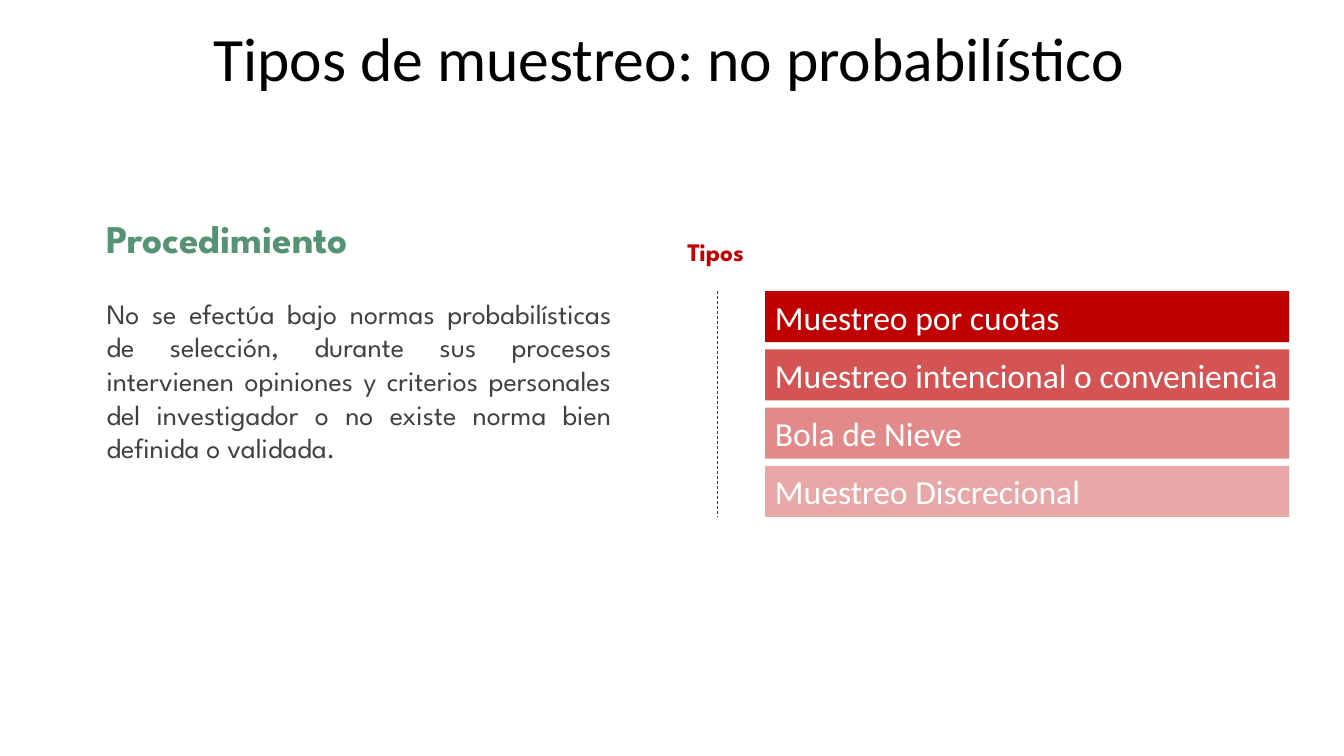
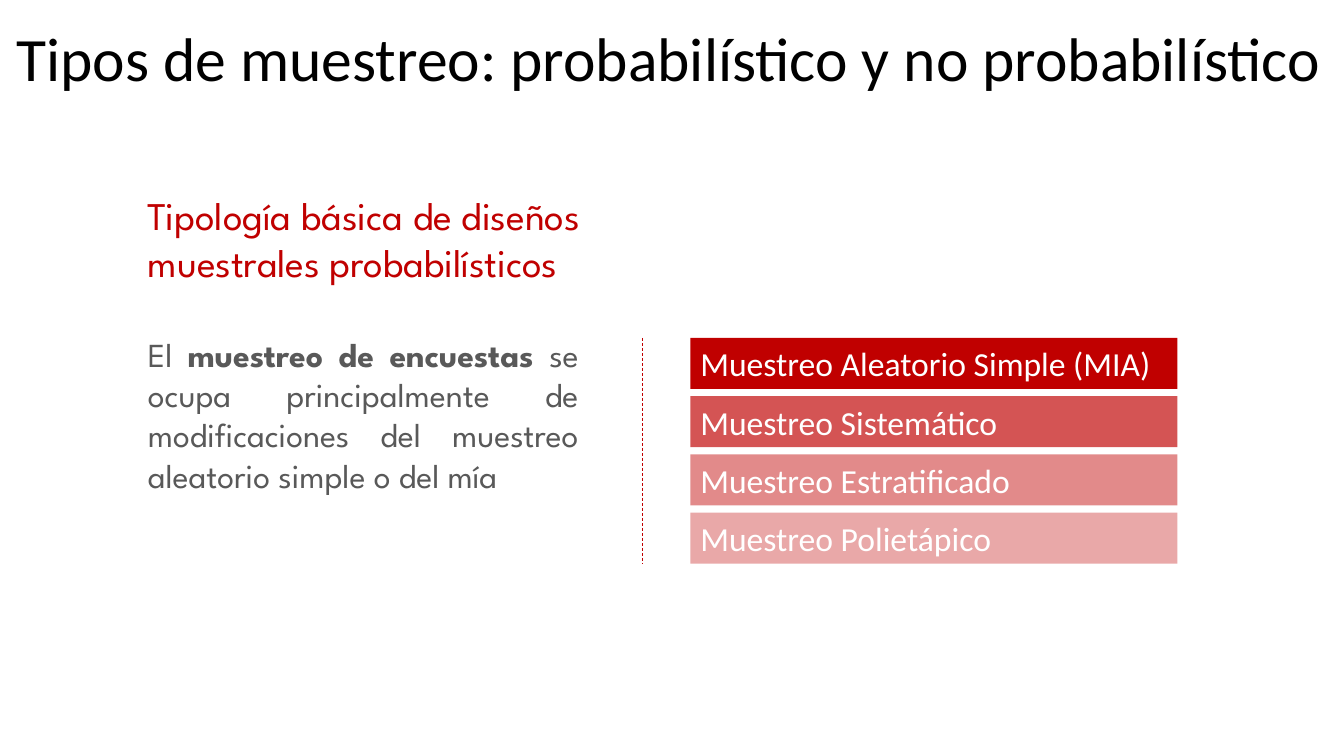
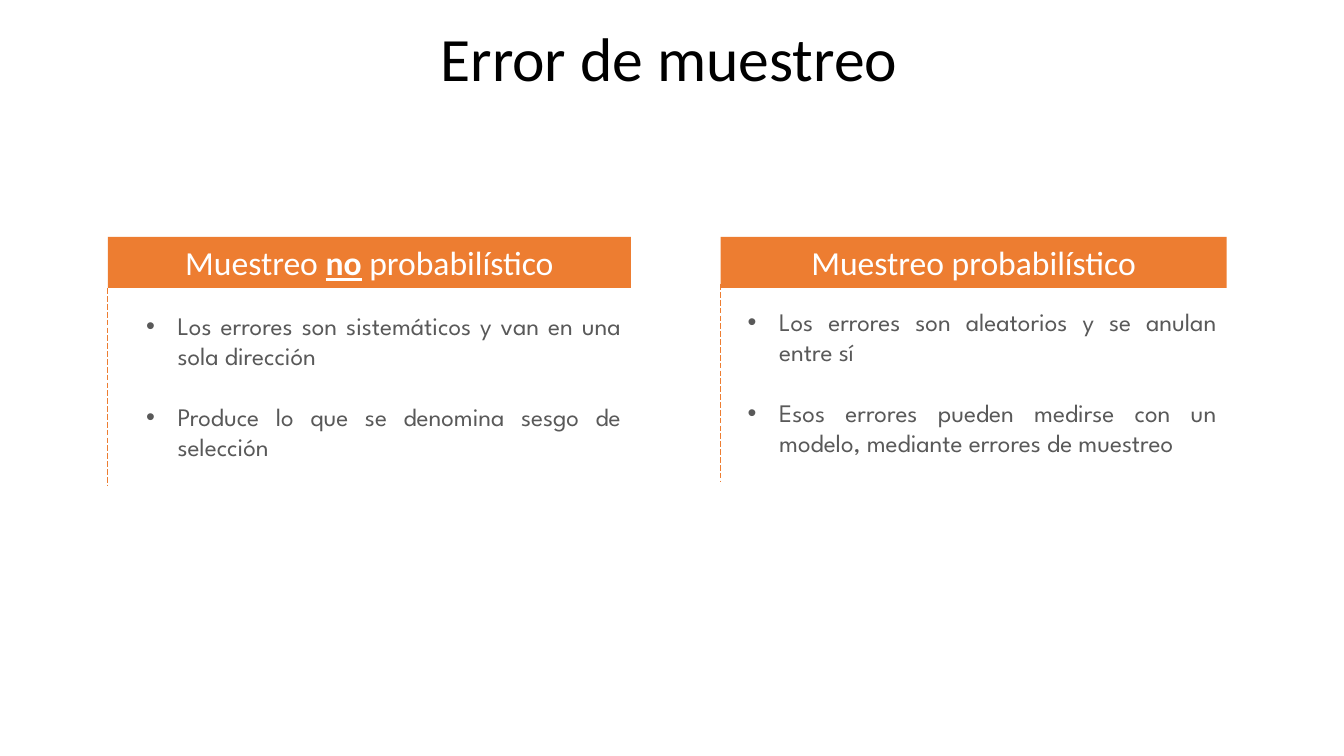
from dataclasses import dataclass

from pptx import Presentation
from pptx.dml.color import RGBColor
from pptx.enum.dml import MSO_LINE
from pptx.enum.shapes import MSO_CONNECTOR, MSO_SHAPE
from pptx.enum.text import MSO_ANCHOR, PP_ALIGN
from pptx.oxml.ns import qn
from pptx.oxml.xmlchemy import OxmlElement
from pptx.util import Pt

LEFT, CENTER, JUSTIFY = PP_ALIGN.LEFT, PP_ALIGN.CENTER, PP_ALIGN.JUSTIFY
TOP, MIDDLE = MSO_ANCHOR.TOP, MSO_ANCHOR.MIDDLE
DASH, LONG_DASH = MSO_LINE.DASH, MSO_LINE.LONG_DASH
RECTANGLE = MSO_SHAPE.RECTANGLE
STRAIGHT = MSO_CONNECTOR.STRAIGHT


@dataclass(frozen=True)
class Theme:
    red: str = "C00000"
    orange: str = "ED7D31"
    green: str = "559374"
    black: str = "000000"
    white: str = "FFFFFF"
    dark_gray: str = "404040"
    gray: str = "595959"
    main_font: str = "Calibri"
    accent_font: str = "League Spartan"
    title_size: int = 44
    heading_size: int = 28
    bar_size: int = 24
    body_size: int = 20
    small_size: int = 18
    line_width: float = 0.5


THEME = Theme()
BAR_HEIGHT = 36.4
BAR_PITCH = 41.6
BAR_OPACITIES = (100, 67, 46, 34)
RULE_GAP = 34
BULLET_INDENT = 22.5


def text_style(name, size, color, **extra):
    return {"name": name, "size": Pt(size), "color": color, **extra}


TITLE = text_style(THEME.main_font, THEME.title_size, THEME.black)
BAR = text_style(THEME.main_font, THEME.bar_size, THEME.white)
BULLET = text_style(THEME.accent_font, THEME.small_size, THEME.gray)


def format_font(font, style):
    for name, value in style.items():
        if name == "color":
            font.color.rgb = RGBColor.from_string(value)
        else:
            setattr(font, name, value)


def write_paragraph(paragraph, content, style, alignment):
    """Fill a paragraph from a string or a list of (text, extra format) runs."""
    paragraph.alignment = alignment
    runs = [(content, {})] if isinstance(content, str) else content
    for text, extra in runs:
        run = paragraph.add_run()
        run.text = text
        format_font(run.font, {**style, **extra})


def add_text(slide, box, content, style, alignment=LEFT, anchor=TOP):
    frame = slide.shapes.add_textbox(*map(Pt, box)).text_frame
    frame.word_wrap = True
    frame.vertical_anchor = anchor
    write_paragraph(frame.paragraphs[0], content, style, alignment)
    return frame


def add_title(slide, text):
    frame = add_text(slide, (4.3, 12.2, 947.5, 64.1), text, TITLE, CENTER, MIDDLE)
    frame.paragraphs[0].line_spacing = 0.9


def add_bar(slide, left, top, width, content, color, opacity=100, alignment=LEFT):
    shape = slide.shapes.add_shape(RECTANGLE, *map(Pt, (left, top, width, BAR_HEIGHT)))
    shape.shadow.inherit = False
    shape.line.fill.background()
    shape.fill.solid()
    shape.fill.fore_color.rgb = RGBColor.from_string(color)
    if opacity < 100:
        alpha = OxmlElement("a:alpha")
        alpha.set("val", str(opacity * 1000))
        shape.element.spPr.find(".//" + qn("a:srgbClr")).append(alpha)
    frame = shape.text_frame
    frame.word_wrap = True
    frame.vertical_anchor = MIDDLE
    write_paragraph(frame.paragraphs[0], content, BAR, alignment)


def add_vertical_rule(slide, left, top, height, color, dash):
    connector = slide.shapes.add_connector(
        STRAIGHT, *map(Pt, (left, top, left, top + height)))
    connector.element.spPr.append(OxmlElement("a:effectLst"))
    connector.line.width = Pt(THEME.line_width)
    connector.line.color.rgb = RGBColor.from_string(color)
    connector.line.dash_style = dash


def add_bar_list(slide, left, top, width, labels):
    """Stack fading red bars with a dashed rule to their left."""
    for index, (label, opacity) in enumerate(zip(labels, BAR_OPACITIES)):
        add_bar(slide, left, top + index * BAR_PITCH, width, label, THEME.red, opacity)
    height = (len(labels) - 1) * BAR_PITCH + BAR_HEIGHT
    add_vertical_rule(slide, left - RULE_GAP, top, height, THEME.red, DASH)


def add_bullet(paragraph):
    properties = paragraph._p.get_or_add_pPr()
    properties.set("marL", str(Pt(BULLET_INDENT)))
    properties.set("indent", str(-Pt(BULLET_INDENT)))
    for tag, name, value in (("a:buFont", "typeface", "Arial"),
                             ("a:buChar", "char", "•")):
        element = OxmlElement(tag)
        element.set(name, value)
        properties.append(element)


def add_bullets(slide, box, items):
    frame = add_text(slide, box, items[0], BULLET, JUSTIFY)
    add_bullet(frame.paragraphs[0])
    for item in items[1:]:
        paragraph = frame.add_paragraph()
        add_bullet(paragraph)
        paragraph.space_before = Pt(21.7)
        write_paragraph(paragraph, item, BULLET, JUSTIFY)


def add_error_panel(slide, left, width, heading, text_left, text_top, items):
    """Draw an orange heading over a bullet list with a dashed left rule."""
    add_bar(slide, left, 169.2, width, heading, THEME.orange, alignment=CENTER)
    add_bullets(slide, (text_left, text_top, left + width - text_left, 117), items)
    add_vertical_rule(slide, left, text_top - 12.3, 141.6, THEME.orange, LONG_DASH)


def build_non_probability(slide):
    add_text(slide, (69, 208, 375, 152.6),
             "No se efectúa bajo normas probabilísticas de selección, durante sus "
             "procesos intervienen opiniones y criterios personales del investigador "
             "o no existe norma bien definida o validada.",
             text_style(THEME.accent_font, THEME.body_size, THEME.dark_gray), JUSTIFY)
    add_text(slide, (484, 165.6, 62.6, 28.8), "Tipos",
             text_style(THEME.accent_font, THEME.small_size, THEME.red, bold=True))
    add_bar_list(slide, 546.5, 208, 374.4,
                 ("Muestreo por cuotas", "Muestreo intencional o conveniencia",
                  "Bola de Nieve", "Muestreo Discrecional"))
    add_text(slide, (69, 149.8, 211, 41), "Procedimiento",
             text_style(THEME.accent_font, THEME.heading_size, THEME.green, bold=True))


def build_probability(slide):
    add_text(slide, (98.6, 143.3, 394.6, 54),
             "Tipología básica de diseños muestrales probabilísticos",
             text_style(THEME.accent_font, THEME.heading_size, THEME.red),
             anchor=MIDDLE)
    add_text(slide, (98.6, 234.7, 321.8, 152.6),
             [("El ", {}), ("muestreo de encuestas ", {"bold": True}),
              ("se ocupa principalmente de modificaciones del muestreo "
               "aleatorio simple o del mía", {})],
             text_style(THEME.accent_font, THEME.bar_size, THEME.gray), JUSTIFY)
    add_bar_list(slide, 493.2, 241.4, 347.8,
                 ("Muestreo Aleatorio Simple (MIA)", "Muestreo Sistemático",
                  "Muestreo Estratificado", "Muestreo Polietápico"))


def build_sampling_error(slide):
    add_error_panel(slide, 77, 373.7,
                    [("Muestreo ", {}), ("no", {"bold": True, "underline": True}),
                     (" probabilístico", {})], 97.2, 218.2,
                    ("Los errores son sistemáticos y van en una sola dirección",
                     "Produce lo que se denomina sesgo de selección"))
    add_error_panel(slide, 514.8, 361.4, "Muestreo probabilístico", 527, 215.3,
                    ("Los errores son aleatorios y se anulan entre sí",
                     "Esos errores pueden medirse con un modelo, mediante errores "
                     "de muestreo"))


def main():
    presentation = Presentation()
    presentation.slide_width, presentation.slide_height = Pt(960), Pt(540)
    slides = (
        ("Tipos de muestreo: no probabilístico", build_non_probability),
        ("Tipos de muestreo: probabilístico y no probabilístico", build_probability),
        ("Error de muestreo", build_sampling_error),
    )
    for title, build in slides:
        slide = presentation.slides.add_slide(presentation.slide_layouts[6])
        build(slide)
        add_title(slide, title)
    presentation.save("out.pptx")


if __name__ == "__main__":
    main()
